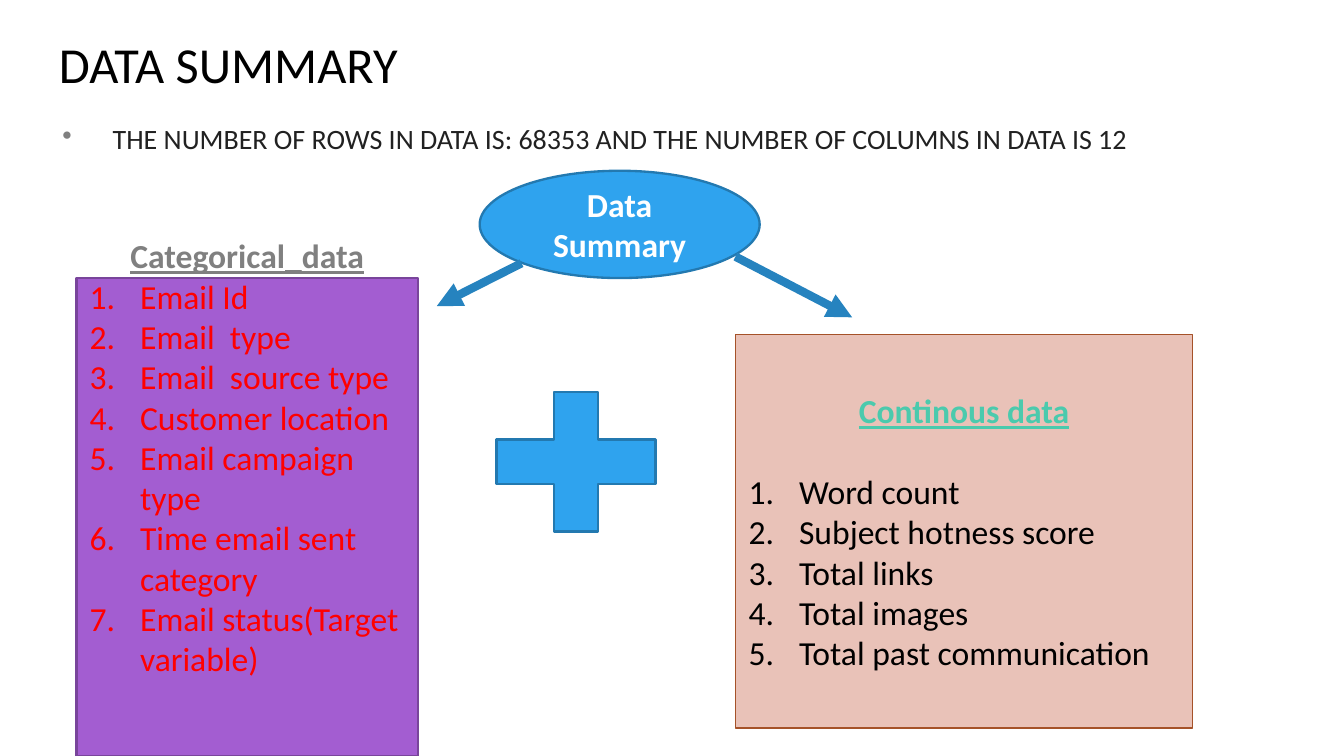
"""Build the data summary slide with its categorical and continuous variable lists."""
from dataclasses import dataclass
from typing import Optional

from lxml.etree import SubElement
from pptx import Presentation
from pptx.dml.color import RGBColor
from pptx.enum.shapes import MSO_CONNECTOR as Connector, MSO_SHAPE as Preset
from pptx.enum.text import MSO_ANCHOR as Anchor, PP_ALIGN as Align
from pptx.oxml.ns import qn
from pptx.util import Pt

BLACK = RGBColor(0x00, 0x00, 0x00)
WHITE = RGBColor(0xFF, 0xFF, 0xFF)
INK = RGBColor(0x21, 0x21, 0x21)
GRAY = RGBColor(0x80, 0x80, 0x80)
RED = RGBColor(0xFF, 0x00, 0x00)
TEAL = RGBColor(0x4B, 0xCA, 0xAD)
BLUE = RGBColor(0x2F, 0xA3, 0xEE)
BLUE_EDGE = RGBColor(0x23, 0x79, 0xB0)
ARROW_BLUE = RGBColor(0x26, 0x83, 0xBF)
PURPLE = RGBColor(0xA3, 0x5D, 0xD1)
PURPLE_EDGE = RGBColor(0x79, 0x45, 0x9B)
PEACH = RGBColor(0xE9, 0xC2, 0xB8)
RUST = RGBColor(0xA5, 0x52, 0x29)
FONT = "Calibri"


@dataclass
class Line:
    text: str
    color: RGBColor
    size: float = 18
    bold: bool = False
    underline: bool = False
    align: Align = Align.LEFT
    spacing: float = 1.0
    after: float = 0
    indent: float = 0
    number: Optional[str] = None
    bullet: Optional[str] = None


@dataclass
class Figure:
    preset: Preset
    frame: tuple[float, float, float, float]
    fill: RGBColor
    edge: RGBColor
    weight: float
    lines: list[Line]
    bottom: float = 3.6


@dataclass
class Arrow:
    start: tuple[float, float]
    end: tuple[float, float]


def apply(target, values: dict) -> None:
    for name, value in values.items():
        setattr(target, name, value)


def write(text_frame, lines: list[Line]) -> None:
    text_frame.word_wrap = True
    for index, line in enumerate(lines):
        para = text_frame.add_paragraph() if index else text_frame.paragraphs[0]
        apply(para, {"alignment": line.align, "line_spacing": line.spacing,
                     "space_after": Pt(line.after)})
        span = para.add_run()
        span.text = line.text
        apply(span.font, {"name": FONT, "size": Pt(line.size), "bold": line.bold,
                          "underline": line.underline})
        span.font.color.rgb = line.color
        properties = para._p.get_or_add_pPr()
        if line.indent:
            properties.set("marL", str(Pt(line.indent)))
            properties.set("indent", str(-Pt(27)))
        if line.number:
            SubElement(properties, qn("a:buAutoNum"), type=line.number)
        if line.bullet:
            color = SubElement(properties, qn("a:buClr"))
            SubElement(color, qn("a:srgbClr"), val=str(GRAY))
            SubElement(properties, qn("a:buChar"), char=line.bullet)


def add_text(page, frame: tuple[float, float, float, float], line: Line) -> None:
    box = page.shapes.add_textbox(*map(Pt, frame))
    sides = ("left", "top", "right", "bottom")
    apply(box.text_frame, {f"margin_{side}": Pt(7.2) for side in sides})
    write(box.text_frame, [line])


def add_figure(page, figure: Figure) -> None:
    shape = page.shapes.add_shape(figure.preset, *map(Pt, figure.frame))
    shape.shadow.inherit = False
    shape.fill.solid()
    shape.fill.fore_color.rgb = figure.fill
    shape.line.color.rgb = figure.edge
    shape.line.width = Pt(figure.weight)
    apply(shape.text_frame, {"vertical_anchor": Anchor.MIDDLE,
                             "margin_bottom": Pt(figure.bottom)})
    if figure.lines:
        write(shape.text_frame, figure.lines)


def add_arrow(page, arrow: Arrow) -> None:
    connector = page.shapes.add_connector(
        Connector.STRAIGHT, *map(Pt, arrow.start + arrow.end))
    connector.line.color.rgb = ARROW_BLUE
    connector.line.width = Pt(4.5)
    SubElement(connector.line._get_or_add_ln(), qn("a:tailEnd"), type="triangle")
    SubElement(connector._element.spPr, qn("a:effectLst"))


def heading(text: str, color: RGBColor, after: float = 0) -> Line:
    return Line(text, color, bold=True, underline=True, align=Align.CENTER, after=after)


def numbered(items: list[str], color: RGBColor) -> list[Line]:
    return [Line(item, color, indent=27, number="arabicPeriod") for item in items]


CATEGORICAL = ["Email Id", "Email  type", "Email  source type", "Customer location",
               "Email campaign type", "Time email sent category",
               "Email status(Target variable)"]
CONTINUOUS = ["Word count", "Subject hotness score", "Total links", "Total images",
              "Total past communication"]
FIGURES = [
    Figure(Preset.OVAL, (257, 91.5, 150, 57.5), BLUE, BLUE_EDGE, 1.25,
           [Line("Data Summary", WHITE, bold=True, align=Align.CENTER)]),
    Figure(Preset.RECTANGLE, (41, 149, 183, 256), PURPLE, PURPLE_EDGE, 1.25,
           [heading("Categorical_data", GRAY)] + numbered(CATEGORICAL, RED), bottom=68),
    Figure(Preset.RECTANGLE, (394, 179.3, 245, 210.7), PEACH, RUST, 0.75,
           [heading("Continous data", TEAL, after=21.6)] + numbered(CONTINUOUS, BLACK)),
    Figure(Preset.MATH_PLUS, (250.6, 196.6, 116, 101.5), BLUE, BLUE_EDGE, 1.25, []),
]
ARROWS = [Arrow((279.4, 141), (234, 164)), Arrow((394, 137.5), (456.5, 170))]


def main() -> None:
    deck = Presentation()
    apply(deck, {"slide_width": Pt(720), "slide_height": Pt(405)})
    page = deck.slides.add_slide(deck.slide_layouts[6])
    add_text(page, (24.5, 10.8, 671, 45.4), Line("DATA SUMMARY", BLACK, size=27))
    add_text(page, (17.3, 55.4, 671, 269.3),
             Line("THE NUMBER OF ROWS IN DATA IS: 68353 AND THE NUMBER OF COLUMNS "
                  "IN DATA IS 12", INK, size=15, spacing=1.15, indent=36, bullet="•"))
    for figure in FIGURES:
        add_figure(page, figure)
    for arrow in ARROWS:
        add_arrow(page, arrow)
    deck.save("out.pptx")


if __name__ == "__main__":
    main()
